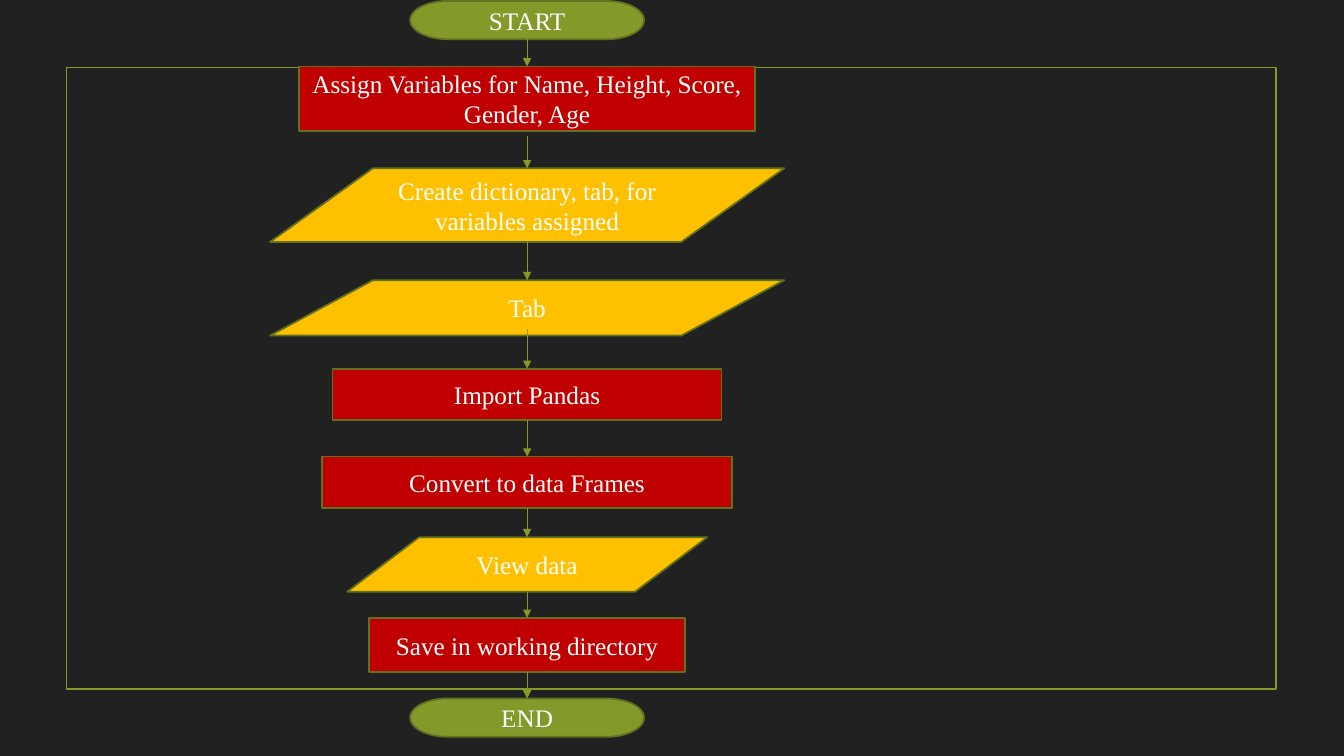
from itertools import pairwise

from lxml.etree import SubElement
from pptx import Presentation
from pptx.dml.color import RGBColor
from pptx.enum.shapes import MSO_CONNECTOR as Connector, MSO_SHAPE as Shape
from pptx.enum.text import MSO_ANCHOR as Anchor, PP_ALIGN as Align
from pptx.oxml.ns import qn
from pptx.util import Inches, Pt

GREEN, DARK_GREEN, RED, AMBER = "83992A", "61711F", "C00000", "FFC000"
CENTRE = 39.22
TOP_SIDE, BOTTOM_SIDE = 0, 2

KINDS = {
    "terminal": (Shape.FLOWCHART_TERMINATOR, GREEN),
    "process": (Shape.RECTANGLE, RED),
    "data": (Shape.FLOWCHART_DATA, AMBER),
}

# label, kind, width, top, height, gap before the outgoing arrow
STEPS = [
    ("START", "terminal", 17.4, 0.13, 5.07, 0),
    ("Assign Variables for Name, Height, Score, Gender, Age", "process", 33.9, 8.8, 8.53, 0.67),
    ("Create dictionary, tab, for variables assigned", "data", 38.25, 22.27, 9.73, 0),
    ("Tab", "data", 38.25, 37.07, 7.33, -0.93),
    ("Import Pandas", "process", 28.95, 48.8, 6.8, 0),
    ("Convert to data Frames", "process", 30.53, 60.4, 6.8, 0),
    ("View data", "data", 26.78, 71.07, 7.2, 0),
    ("Save in working directory", "process", 23.48, 81.73, 7.2, 0),
    ("END", "terminal", 17.4, 92.4, 5.07, 0),
]


def colour(code):
    return RGBColor.from_string(code)


class Flowchart:
    """Draws flowchart parts on one slide, with lengths in percent of its size."""

    font = "Times New Roman"
    size = Pt(18)
    text_colour = "FFFFFF"
    outline = Pt(1.25)
    arrow_width = Pt(0.75)

    def __init__(self, deck, background):
        self.deck = deck
        self.page = deck.slides.add_slide(deck.slide_layouts[6])
        fill = self.page.background.fill
        fill.solid()
        fill.fore_color.rgb = colour(background)

    def across(self, share):
        return round(self.deck.slide_width * share / 100)

    def down(self, share):
        return round(self.deck.slide_height * share / 100)

    def box(self, shape, left, top, width, height, line, fill=None):
        box = self.page.shapes.add_shape(
            shape, self.across(left), self.down(top), self.across(width), self.down(height))
        box.shadow.inherit = False
        box.line.color.rgb = colour(line)
        box.line.width = self.outline
        if fill:
            box.fill.solid()
            box.fill.fore_color.rgb = colour(fill)
        else:
            box.fill.background()
        return box

    def step(self, label, kind, width, top, height):
        shape, fill = KINDS[kind]
        box = self.box(shape, CENTRE - width / 2, top, width, height, DARK_GREEN, fill)
        frame = box.text_frame
        frame.word_wrap = True
        frame.vertical_anchor = Anchor.MIDDLE
        para = frame.paragraphs[0]
        para.alignment = Align.CENTER
        span = para.add_run()
        span.text = label
        span.font.name = self.font
        span.font.size = self.size
        span.font.color.rgb = colour(self.text_colour)
        return box

    def arrow(self, start, end, source=None, target=None):
        x = self.across(CENTRE)
        arrow = self.page.shapes.add_connector(
            Connector.STRAIGHT, x, self.down(start), x, self.down(end))
        if source is not None:
            arrow.begin_connect(source, BOTTOM_SIDE)
        if target is not None:
            arrow.end_connect(target, TOP_SIDE)
        arrow.line.color.rgb = colour(GREEN)
        arrow.line.width = self.arrow_width
        SubElement(arrow.line._get_or_add_ln(), qn("a:tailEnd"), type="triangle")
        SubElement(arrow._element.spPr, qn("a:effectLst"))


def main():
    deck = Presentation()
    deck.slide_width, deck.slide_height = Inches(13.33), Inches(7.5)
    chart = Flowchart(deck, "212121")
    chart.box(Shape.RECTANGLE, 4.95, 8.93, 90, 82.27, GREEN)

    boxes = [chart.step(*step[:5]) for step in STEPS]
    for (step, box), (next_step, next_box) in pairwise(zip(STEPS, boxes)):
        _, kind, _, top, height, gap = step
        _, next_kind, _, next_top, _, _ = next_step
        source = box if kind != "data" and gap == 0 else None
        target = next_box if next_kind != "data" else None
        chart.arrow(top + height + gap, next_top, source, target)

    deck.save("out.pptx")


if __name__ == "__main__":
    main()
